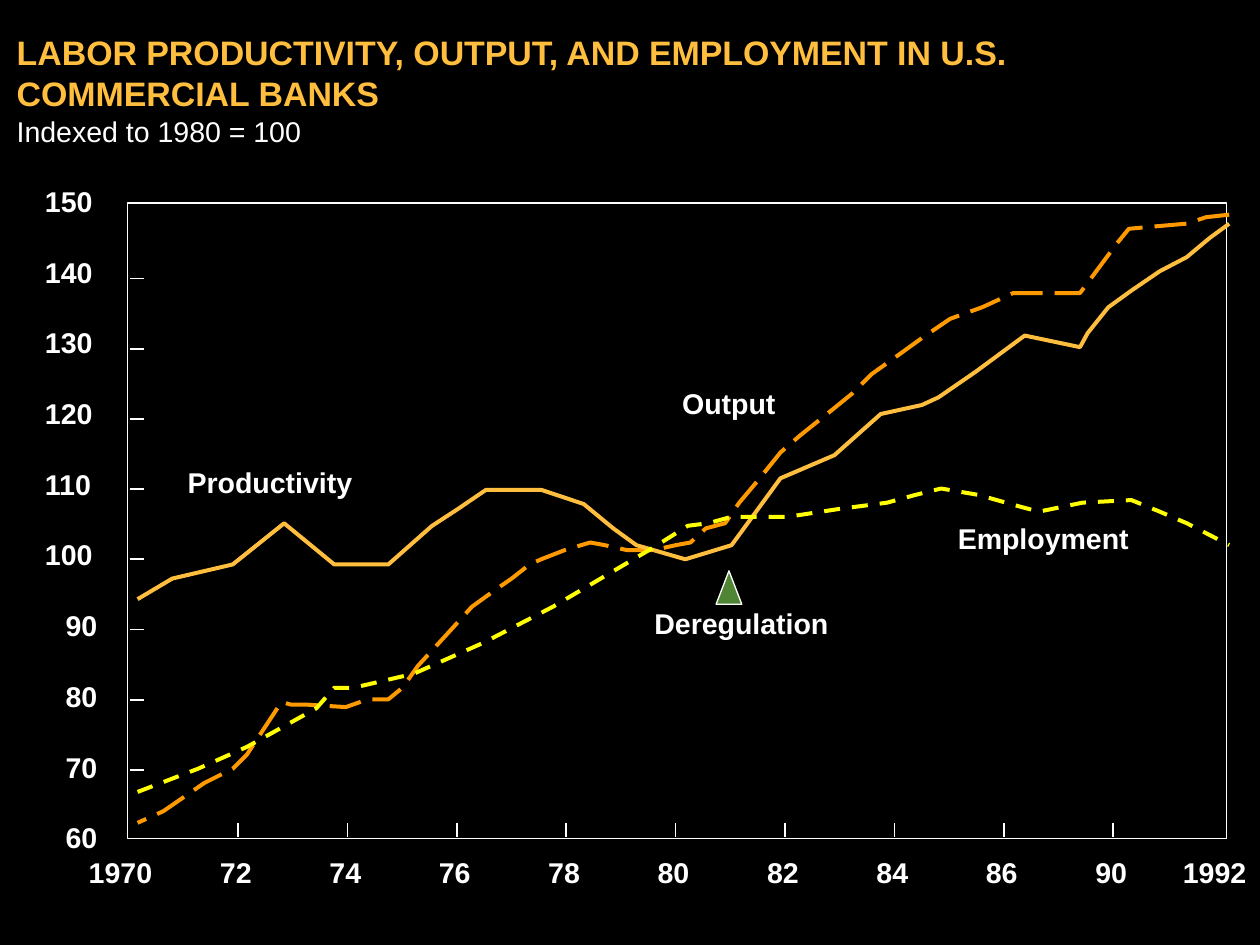
from lxml.etree import SubElement
from pptx import Presentation
from pptx.dml.color import RGBColor
from pptx.enum.dml import MSO_LINE
from pptx.enum.shapes import MSO_CONNECTOR, MSO_SHAPE
from pptx.enum.text import MSO_ANCHOR, MSO_AUTO_SIZE, PP_ALIGN
from pptx.oxml.ns import qn
from pptx.util import Inches, Pt

WHITE, AMBER, ORANGE, YELLOW, GREEN = "FFFFFF", "FFBE3D", "FF9900", "FFFF00", "4F8636"
UNIT = Inches(0.01)
PLOT = (0.99, 1.58, 8.55, 4.94)
YEARS = ["1970", "72", "74", "76", "78", "80", "82", "84", "86", "90", "1992"]
INDEX_LEVELS = range(150, 50, -10)
YEAR_STEP, LEVEL_STEP = 0.851, 0.546

# Curve points are hundredths of an inch from the top left corner of the plot.
OUTPUT = [
    (857, 9), (839, 11), (824, 16), (801, 18), (779, 20), (770, 31), (741, 70), (705, 70),
    (689, 70), (665, 81), (640, 90), (618, 105), (600, 118), (579, 133), (564, 148), (548, 161),
    (523, 181), (508, 194), (492, 214), (476, 233), (465, 249), (450, 253), (438, 264), (427, 266),
    (409, 270), (389, 270), (371, 266), (360, 264), (340, 270), (322, 277), (313, 281), (299, 292),
    (286, 301), (268, 314), (248, 336), (226, 360), (214, 377), (203, 386), (187, 386), (170, 392),
    (138, 390), (127, 390), (120, 388), (93, 429), (82, 440), (60, 451), (28, 473), (8, 482)]
PRODUCTIVITY = [
    (857, 16), (842, 27), (824, 42), (803, 53), (781, 68), (763, 81), (747, 101), (741, 112),
    (698, 103), (660, 131), (631, 151), (618, 157), (586, 164), (550, 196), (508, 214), (470, 266),
    (434, 277), (396, 266), (378, 253), (355, 234), (322, 223), (279, 223), (257, 238), (237, 251),
    (203, 281), (161, 281), (122, 249), (82, 281), (35, 292), (8, 308)]
EMPLOYMENT = [
    (8, 458), (55, 440), (93, 423), (120, 408), (147, 393), (161, 377), (176, 377), (223, 366),
    (277, 342), (331, 314), (409, 268), (436, 251), (452, 249), (470, 244), (514, 244), (553, 238),
    (591, 233), (613, 227), (633, 222), (662, 227), (694, 236), (709, 240), (743, 233), (781, 231),
    (803, 240), (824, 249), (857, 266)]


def color(hex_code):
    """Turn a hex string into a colour."""
    return RGBColor.from_string(hex_code)


def set_line(line, hex_code, width):
    """Give a line its colour and width in points."""
    line.color.rgb = color(hex_code)
    line.width = Pt(width)


def fill_text(frame, words, size, hex_code, bold, inset=0, wrap=True, align=PP_ALIGN.LEFT):
    """Put one formatted paragraph into a text frame."""
    frame.auto_size = MSO_AUTO_SIZE.NONE
    frame.word_wrap = wrap
    frame.margin_left = frame.margin_right = Inches(inset)
    frame.margin_top = frame.margin_bottom = Inches(inset)
    frame.text = words
    paragraph = frame.paragraphs[0]
    paragraph.alignment = align
    paragraph.font.name = "Arial"
    paragraph.font.size = Pt(size)
    paragraph.font.bold = bold
    paragraph.font.color.rgb = color(hex_code)


def add_label(slide, words, box, bold=True, **layout):
    """Add a white 16-point label in a box."""
    label = slide.shapes.add_textbox(*map(Inches, box))
    fill_text(label.text_frame, words, 16, WHITE, bold, **layout)


def add_tick(slide, left, top, width, height):
    """Draw one axis tick."""
    tick = slide.shapes.add_connector(
        MSO_CONNECTOR.STRAIGHT, *map(Inches, (left, top, left + width, top + height)))
    set_line(tick.line, WHITE, 1)
    SubElement(tick._element.spPr, qn("a:effectLst"))


def add_curve(slide, box, points, hex_code, dash):
    """Draw one series as an open line inside the plot box."""
    builder = slide.shapes.build_freeform(*points[0], scale=UNIT)
    builder.add_line_segments(points[1:], close=False)
    curve = builder.convert_to_shape(Inches(box[0]), Inches(box[1]))
    curve.fill.background()
    curve.shadow.inherit = False
    set_line(curve.line, hex_code, 2.25)
    curve.line.dash_style = dash


def add_heading(slide, left, top, width):
    """Place the title and the index note below it."""
    title = slide.shapes.title
    title.left, title.top, title.width, title.height = map(Inches, (left, top, width, 0.63))
    fill_text(title.text_frame,
              "LABOR PRODUCTIVITY, OUTPUT, AND EMPLOYMENT IN U.S. COMMERCIAL BANKS",
              19, AMBER, True)
    title.text_frame.vertical_anchor = MSO_ANCHOR.BOTTOM
    add_label(slide, "Indexed to 1980 = 100", (left, top + 0.64, width, 0.27), bold=False)


def add_index_axis(slide, left, top):
    """Place the index levels and their ticks down the left side."""
    for row, level in enumerate(INDEX_LEVELS):
        indent, width = (0.66, 0.4) if level >= 100 else (0.5, 0.28)
        add_label(slide, str(level), (left - indent, top - 0.17 + row * 0.55, width, 0.3),
                  inset=0.02, wrap=False)
        if 0 < row < len(INDEX_LEVELS) - 1:
            add_tick(slide, left + 0.02, top + 0.04 + row * LEVEL_STEP, 0.11, 0)


def add_year_axis(slide, left, bottom):
    """Place the years and their ticks along the bottom."""
    for column, year in enumerate(YEARS):
        center = left + column * YEAR_STEP
        offset, width = (0.32, 0.52) if len(year) == 4 else (0.15, 0.28)
        add_label(slide, year, (center - offset, bottom + 0.11, width, 0.3),
                  inset=0.02, wrap=False)
        if 0 < column < len(YEARS) - 1:
            add_tick(slide, center + 0.01, bottom - 0.12, 0, 0.11)


def add_deregulation(slide, left, top):
    """Mark the year of deregulation with a triangle and its label."""
    marker = slide.shapes.add_shape(
        MSO_SHAPE.ISOSCELES_TRIANGLE, *map(Inches, (left + 4.58, top + 2.86, 0.2, 0.26)))
    marker.shadow.inherit = False
    marker.fill.solid()
    marker.fill.fore_color.rgb = color(GREEN)
    set_line(marker.line, WHITE, 0.75)
    add_label(slide, "Deregulation", (left + 4.1, top + 3.13, 3.14, 0.27))


def add_plot(slide, box):
    """Draw the frame, curves, axes and labels of the plot."""
    left, top, width, height = box
    frame = slide.shapes.add_shape(MSO_SHAPE.RECTANGLE, *map(Inches, box))
    frame.fill.background()
    frame.shadow.inherit = False
    set_line(frame.line, WHITE, 0.75)
    add_curve(slide, box, OUTPUT, ORANGE, MSO_LINE.LONG_DASH)
    add_curve(slide, box, PRODUCTIVITY, AMBER, MSO_LINE.SOLID)
    add_curve(slide, box, EMPLOYMENT, YELLOW, MSO_LINE.DASH)
    add_index_axis(slide, left, top)
    add_year_axis(slide, left, top + height)
    add_label(slide, "Output", (left + 4.3, top + 1.4, 0.76, 0.3),
              inset=0.02, wrap=False, align=PP_ALIGN.CENTER)
    add_label(slide, "Employment", (left + 6.41, top + 2.42, 1.77, 0.52), inset=0.05)
    add_label(slide, "Productivity", (left + 0.42, top + 1.99, 1.73, 0.49), inset=0.05)
    add_deregulation(slide, left, top)


def main():
    """Build the slide and save it."""
    deck = Presentation()
    deck.slide_width, deck.slide_height = Inches(9.8), Inches(7.35)
    slide = deck.slides.add_slide(deck.slide_layouts[5])
    slide.background.fill.solid()
    slide.background.fill.fore_color.rgb = color("000000")
    add_heading(slide, 0.13, 0.25, 9.43)
    add_plot(slide, PLOT)
    deck.save("out.pptx")


if __name__ == "__main__":
    main()
